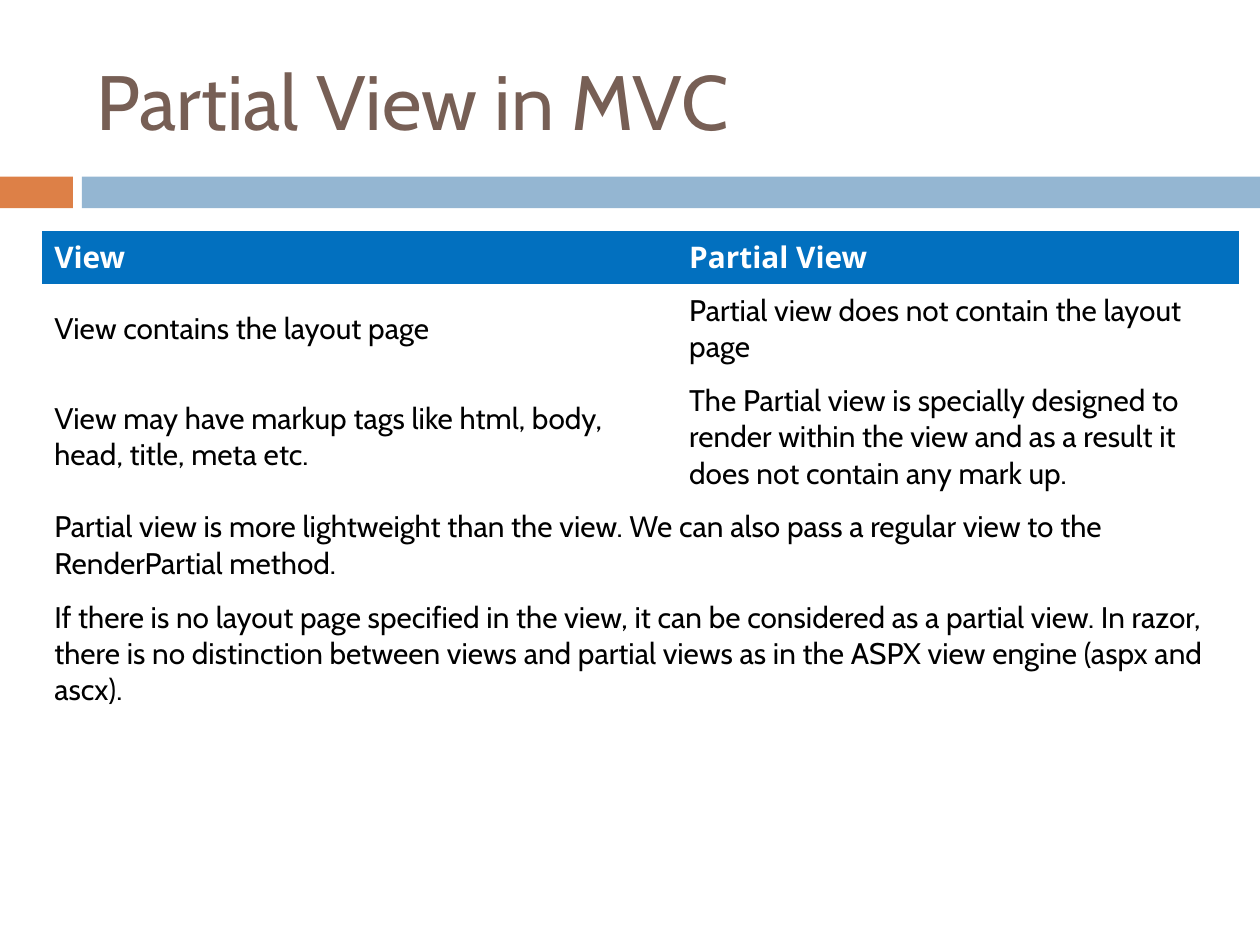
import pptx
import pptx.dml.color
import pptx.enum.shapes
import pptx.enum.text
import pptx.util

Cm = pptx.util.Cm
MIDDLE = pptx.enum.text.MSO_ANCHOR.MIDDLE
COLORS = {
    "title": "775F55", "accent": "DD8047", "band": "94B6D2",
    "header": "0270BF", "header_text": "FFFFFF",
    "body": "FFFFFF", "body_text": "000000",
}
TITLE_FONT = {"name": "Cabin", "size": pptx.util.Pt(44), "bold": False}
HEADER_FONT = {"name": "Open Sans", "size": pptx.util.Pt(17), "bold": True}
BODY_FONT = {"name": "Cabin", "size": pptx.util.Pt(17), "bold": False}
PLAIN_STYLE = "{2D5ABB26-0587-4C30-8999-92F81FD0307C}"
COMPARISON = [
    ("View", "Partial View"),
    ("View contains the layout page",
     "Partial view does not contain the layout page"),
    ("View may have markup tags like html, body, head, title, meta etc.",
     "The Partial view is specially designed to render within the view "
     "and as a result it does not contain any mark up."),
    ("Partial view is more lightweight than the view. We can also pass "
     "a regular view to the RenderPartial method.",),
    ("If there is no layout page specified in the view, it can be considered "
     "as a partial view. In razor, there is no distinction between views and "
     "partial views as in the ASPX view engine (aspx and ascx).",),
]


def rgb(key):
    """Return the named colour."""
    return pptx.dml.color.RGBColor.from_string(COLORS[key])


def write_text(frame, wording, font_values, color):
    """Write one formatted, left-aligned paragraph."""
    frame.text = wording
    paragraph = frame.paragraphs[0]
    paragraph.alignment = pptx.enum.text.PP_ALIGN.LEFT
    font = paragraph.runs[0].font
    for attribute, value in font_values.items():
        setattr(font, attribute, value)
    font.color.rgb = rgb(color)


def place_title(slide, left, top, width, height):
    """Place the heading in the title placeholder."""
    heading = slide.shapes.title
    box = {"left": left, "top": top, "width": width, "height": height}
    for attribute, value in box.items():
        setattr(heading, attribute, Cm(value))
    write_text(heading.text_frame, "Partial View in MVC", TITLE_FONT, "title")
    heading.text_frame.vertical_anchor = MIDDLE


def place_divider(slide, left, top, width, height):
    """Draw the two-part bar below the heading."""
    accent_width, band_offset = 1.47, 1.65
    parts = [("accent", 0, accent_width),
             ("band", band_offset, width - band_offset)]
    for color, offset, part_width in parts:
        bar = slide.shapes.add_shape(
            pptx.enum.shapes.MSO_SHAPE.RECTANGLE,
            Cm(left + offset), Cm(top), Cm(part_width), Cm(height))
        bar.shadow.inherit = False
        bar.fill.solid()
        bar.fill.fore_color.rgb = rgb(color)
        bar.line.fill.background()


def place_comparison(slide, left, top, width, height):
    """Build the comparison table, merging rows that hold one statement."""
    frame = slide.shapes.add_table(
        len(COMPARISON), 2, Cm(left), Cm(top), Cm(width), Cm(height))
    frame._element.xpath(".//a:tableStyleId")[0].text = PLAIN_STYLE
    table = frame.table
    view_width = 12.8
    for column, column_width in zip(table.columns, (view_width, width - view_width)):
        column.width = Cm(column_width)
    for row, row_height in zip(table.rows, (1.04, 1.8, 2.57, 1.8, 2.57)):
        row.height = Cm(row_height)
    for row_index, statements in enumerate(COMPARISON):
        kind, font = ("body", BODY_FONT) if row_index else ("header", HEADER_FONT)
        if len(statements) == 1:
            table.cell(row_index, 0).merge(table.cell(row_index, 1))
        for column_index, statement in enumerate(statements):
            cell = table.cell(row_index, column_index)
            write_text(cell.text_frame, statement, font, f"{kind}_text")
            cell.vertical_anchor = MIDDLE
            cell.fill.solid()
            cell.fill.fore_color.rgb = rgb(kind)


def main():
    """Build and save the slide."""
    deck = pptx.Presentation()
    deck.slide_width, deck.slide_height = Cm(25.4), Cm(19.05)
    slide = deck.slides.add_slide(deck.slide_layouts.get_by_name("Title Only"))
    place_divider(slide, 0, 3.56, 25.4, 0.64)
    place_title(slide, 1.7, 0.64, 22.66, 2.74)
    place_comparison(slide, 0.84, 4.65, 24.13, 9.78)
    deck.save("out.pptx")


if __name__ == "__main__":
    main()
